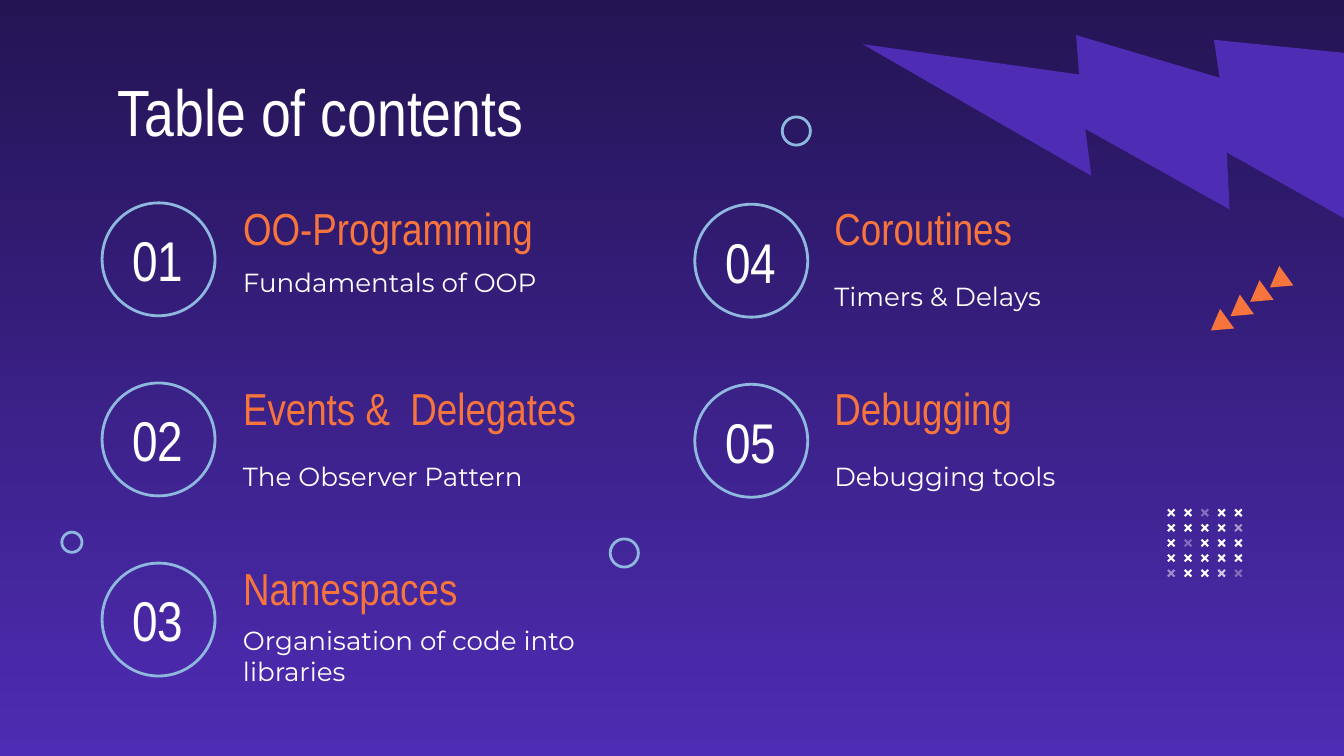
from dataclasses import dataclass

from lxml import etree
from pptx import Presentation
from pptx.dml.color import RGBColor as RGB
from pptx.enum.shapes import MSO_SHAPE as SHAPE
from pptx.enum.text import MSO_ANCHOR as ANCHOR, PP_ALIGN as ALIGN
from pptx.oxml.ns import qn
from pptx.util import Inches, Pt


@dataclass(frozen=True)
class Theme:
    """Colours, fonts and type sizes of the slide."""
    night: RGB = RGB(0x24, 0x14, 0x54)
    violet: RGB = RGB(0x4E, 0x2C, 0xB3)
    orange: RGB = RGB(0xF7, 0x74, 0x3C)
    sky: RGB = RGB(0x8E, 0xB8, 0xDE)
    white: RGB = RGB(0xFF, 0xFF, 0xFF)
    display: str = "Arial Narrow"
    body: str = "Montserrat"
    title_size: int = 35
    number_size: int = 30
    heading_size: int = 24
    body_size: int = 14


T = Theme()

TOPICS = [
    ("OO-Programming", "Fundamentals of OOP", ANCHOR.TOP),
    ("Events &  Delegates", "The Observer Pattern", ANCHOR.MIDDLE),
    ("Namespaces", "Organisation of code into libraries", ANCHOR.MIDDLE),
    ("Coroutines", "Timers & Delays", ANCHOR.MIDDLE),
    ("Debugging", "Debugging tools", ANCHOR.MIDDLE),
]
ROWS, ROW_STEP, COLUMN_STEP = 3, 1.34, 4.4
FADED = {(0, 2): 36, (1, 4): 53, (2, 1): 34, (4, 0): 48, (4, 3): 75, (4, 4): 33}


def paint_background(s):
    """Fill the slide with a gradient from top to bottom."""
    fill = s.background.fill
    fill.gradient()
    fill.gradient_angle = 270
    for stop, color in zip(fill.gradient_stops, (T.night, T.violet)):
        stop.color.rgb = color


def add_solid(s, kind, x, y, w, h, color, rotation=0, alpha=100):
    """Add a filled preset shape without outline."""
    sp = s.shapes.add_shape(kind, Inches(x), Inches(y), Inches(w), Inches(h))
    sp.shadow.inherit = False
    sp.rotation = rotation
    sp.fill.solid()
    sp.fill.fore_color.rgb = color
    sp.line.fill.background()
    if alpha < 100:
        clr = next(sp.fill._xPr.iter(qn("a:srgbClr")))
        etree.SubElement(clr, qn("a:alpha")).set("val", str(alpha * 1000))
    return sp


def add_ring(s, x, y, size):
    """Add an unfilled circle with a light blue outline."""
    sp = s.shapes.add_shape(SHAPE.OVAL, Inches(x), Inches(y), Inches(size), Inches(size))
    sp.shadow.inherit = False
    sp.fill.background()
    sp.line.color.rgb = T.sky
    sp.line.width = Pt(1.5)


def add_text(s, text, x, y, w, h, size, color=T.white, font=T.display,
             anchor=ANCHOR.MIDDLE, align=ALIGN.LEFT):
    """Add a wrapped text box holding one paragraph."""
    tf = s.shapes.add_textbox(Inches(x), Inches(y), Inches(w), Inches(h)).text_frame
    tf.word_wrap = True
    tf.vertical_anchor = anchor
    tf.margin_left = tf.margin_right = tf.margin_top = tf.margin_bottom = Inches(0.1)
    tf.text = text
    p = tf.paragraphs[0]
    p.alignment = align
    r = p.runs[0]
    r.font.size, r.font.name = Pt(size), font
    r.font.color.rgb = color


def add_topic(s, index, heading, detail, anchor):
    """Add one numbered topic at its place in the grid."""
    column, row = divmod(index, ROWS)
    x, y = 0.76 + column * COLUMN_STEP, 1.51 + row * ROW_STEP
    nudge = 0.01 * column
    add_ring(s, x + nudge, y + nudge, 0.84)
    add_text(s, f"{index + 1:02}", x - 0.03 + nudge, y - 0.06 + nudge, 0.89, 0.96,
             T.number_size, align=ALIGN.CENTER)
    add_text(s, heading, x + 0.95, y, 3.41, 0.37, T.heading_size, T.orange)
    add_text(s, detail, x + 0.95, y + 0.37, 2.76, 0.64, T.body_size,
             font=T.body, anchor=anchor)


def add_bolt(s):
    """Add the large mirrored lightning bolt in the corner."""
    sp = add_solid(s, SHAPE.LIGHTNING_BOLT, 7, -0.68, 3.17, 3.17, T.violet, 59.9)
    sp._element.spPr.find(qn("a:xfrm")).set("flipH", "1")


def add_cross_grid(s):
    """Add the five by five grid of small crosses."""
    for row in range(5):
        for col in range(5):
            sp = add_solid(s, SHAPE.CROSS, 8.68 + col * 0.5 / 4, 3.78 + row * 0.45 / 4,
                           0.07, 0.07, T.white, 315, FADED.get((row, col), 100))
            sp.adjustments[0] = 0.39


def add_triangle_trail(s):
    """Add the diagonal trail of orange triangles."""
    for i in range(4):
        add_solid(s, SHAPE.ISOSCELES_TRIANGLE, 9.42 - i * 0.44 / 3, 2.02 + i * 0.32 / 3,
                  0.18, 0.15, T.orange, 234.2)


def main():
    """Build and save the contents slide."""
    prs = Presentation()
    prs.slide_width, prs.slide_height = Inches(10), Inches(10 * 9 / 16)
    s = prs.slides.add_slide(prs.slide_layouts[6])
    paint_background(s)
    add_bolt(s)
    add_text(s, "Table of contents", 0.78, 0.43, 8.43, 0.64, T.title_size,
             anchor=ANCHOR.TOP)
    for index, topic in enumerate(TOPICS):
        add_topic(s, index, *topic)
    add_cross_grid(s)
    for x, y, size in ((0.46, 3.96, 0.15), (5.82, 0.87, 0.21), (4.54, 4.01, 0.21)):
        add_ring(s, x, y, size)
    add_triangle_trail(s)
    prs.save("out.pptx")


if __name__ == "__main__":
    main()
